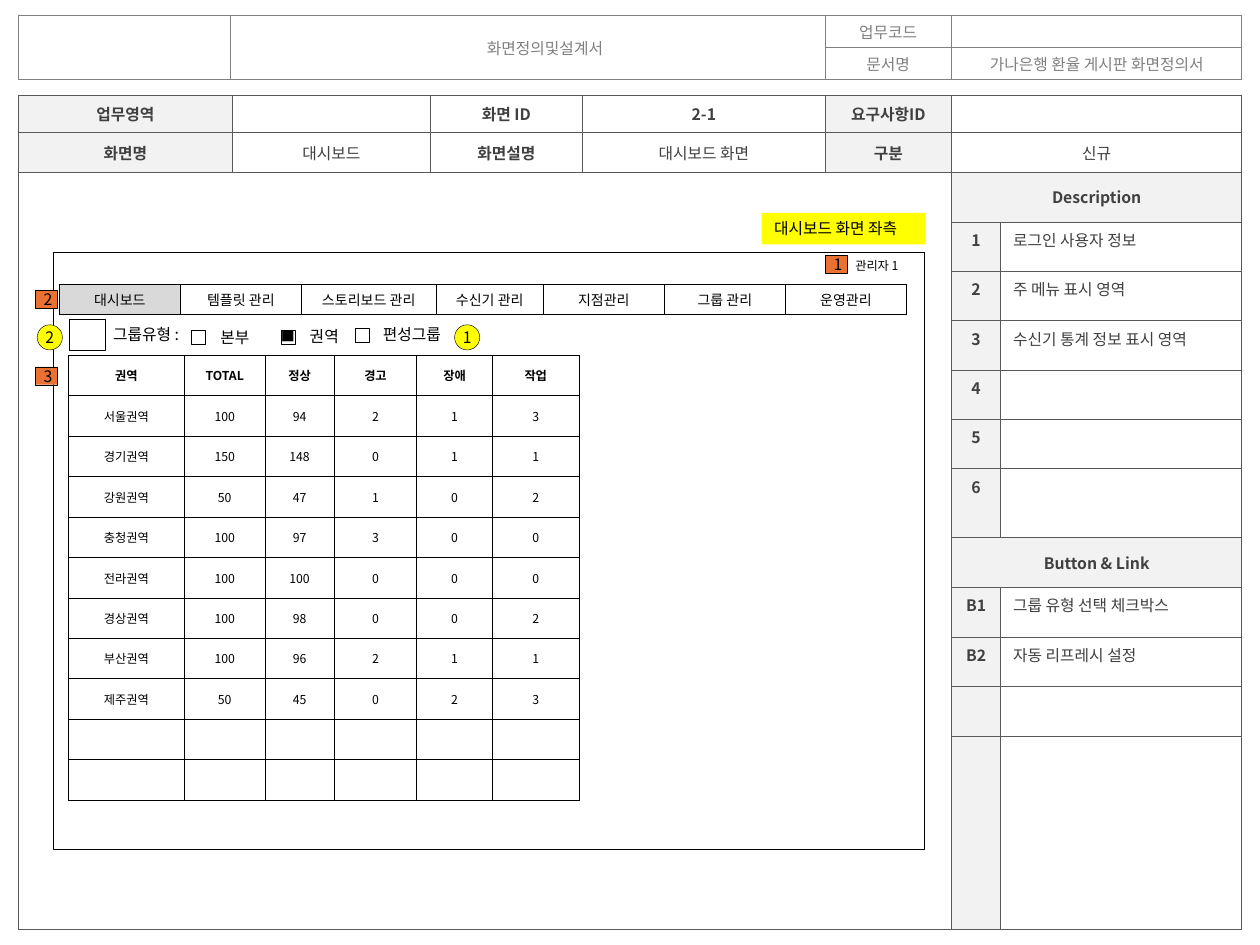
from lxml import etree
from pptx import Presentation
from pptx.dml.color import RGBColor
from pptx.enum import shapes, text
from pptx.oxml import ns
from pptx.util import Pt

FONT = "Noto Sans CJK KR"
HUES = {
    "black": "000000", "white": "FFFFFF", "mid": "808080", "dark": "404040",
    "edge": "595959", "pale": "F2F2F2", "grey": "D9D9D9",
    "yellow": "FFFF00", "orange": "E97132",
}
LEFT, MID = text.PP_ALIGN.LEFT, text.PP_ALIGN.CENTER
TOP, HALF = text.MSO_ANCHOR.TOP, text.MSO_ANCHOR.MIDDLE


def write(host, words, size=9, bold=False, hue="black", side=MID, anchor=HALF,
          pad=(7.2, 3.6), left=None):
    host.margin_left = Pt(pad[0] if left is None else left)
    host.margin_right = Pt(pad[0])
    host.margin_top = host.margin_bottom = Pt(pad[1])
    host.vertical_anchor = anchor
    para = getattr(host, "text_frame", host).paragraphs[0]
    para.alignment = side
    if not words:
        end = etree.SubElement(para._p, ns.qn("a:endParaRPr"))
        end.set("sz", str(size * 100))
        return
    run = para.add_run()
    run.text = words
    font = run.font
    font.size, font.bold, font.name = Pt(size), bold, FONT
    font.color.rgb = RGBColor.from_string(HUES[hue])
    east = etree.SubElement(run._r.get_or_add_rPr(), ns.qn("a:ea"))
    east.set("typeface", FONT)


def grid(left, top, cols, rows, data, style, edge, width, spans=()):
    frame = slide.shapes.add_table(len(rows), len(cols), Pt(left), Pt(top),
                                   Pt(sum(cols)), Pt(sum(rows)))
    table = frame.table
    for col, size in zip(table.columns, cols):
        col.width = Pt(size)
    for row, size in zip(table.rows, rows):
        row.height = Pt(size)
    for r, line in enumerate(data):
        for c, words in enumerate(line):
            cell = table.cell(r, c)
            look = style(r, c)
            cell.fill.solid()
            cell.fill.fore_color.rgb = RGBColor.from_string(HUES[look.pop("fill", "white")])
            write(cell, words, **look)
            for i, tag in enumerate(("a:lnL", "a:lnR", "a:lnT", "a:lnB")):
                ln = etree.Element(ns.qn(tag), w=str(Pt(width)))
                solid = etree.SubElement(ln, ns.qn("a:solidFill"))
                etree.SubElement(solid, ns.qn("a:srgbClr"), val=HUES[edge])
                cell._tc.get_or_add_tcPr().insert(i, ln)
    for r, c, down, over in spans:
        table.cell(r, c).merge(table.cell(r + down - 1, c + over - 1))


deck = Presentation()
deck.slide_width, deck.slide_height = Pt(720), Pt(540)
slide = deck.slides.add_slide(deck.slide_layouts[6])

grid(10.5, 8.7, [120.8, 340, 72.5, 165.7], [18.3, 18.3],
     [["", "화면정의및설계서", "업무코드", ""],
      ["", "", "문서명", "가나은행 환율 게시판 화면정의서"]],
     lambda r, c: dict(hue="mid", pad=(5.8, 0), left=26 if c == 1 else None),
     "mid", 0.25, [(0, 0, 2, 1), (0, 1, 2, 1)])

notes = [
    ("Description", ""), ("1", "로그인 사용자 정보"), ("2", "주 메뉴 표시 영역"),
    ("3", "수신기 통계 정보 표시 영역"), ("4", ""), ("5", ""), ("6", ""),
    ("Button & Link", ""), ("B1", "그룹 유형 선택 체크박스"),
    ("B2", "자동 리프레시 설정"), ("", ""), ("", ""),
]


def main_look(r, c):
    if r < 2:
        return dict(hue="dark", bold=r == 0 or c % 2 == 0, pad=(7.2, 0),
                    fill="pale" if c in (0, 4) else "white")
    return dict(hue="dark", bold=c == 5, side=LEFT if c == 6 else MID,
                anchor=HALF if r in (2, 9) else TOP,
                pad=(2.9 if c == 5 else 7.2, 3.6),
                fill="pale" if c == 5 else "white")


grid(10.5, 54.6, [122.3, 113.1, 87, 138.7, 72.2, 28, 137.8],
     [21.1, 22.8, 28.4] + [28.2] * 5 + [39.5] + [28.4] * 4 + [110],
     [["업무영역", "", "화면 ID", "2-1", "요구사항ID", "", ""],
      ["화면명", "대시보드", "화면설명", "대시보드 화면", "구분", "신규", ""]]
     + [[""] * 5 + list(note) for note in notes],
     main_look, "edge", 0.25,
     [(0, 5, 1, 2), (1, 5, 1, 2), (2, 0, 12, 5), (2, 5, 1, 2), (9, 5, 1, 2)])

RECT, OVAL = shapes.MSO_SHAPE.RECTANGLE, shapes.MSO_SHAPE.OVAL
label = dict(side=LEFT, anchor=TOP)
badge = dict(pad=(0, 0), left=2)
disc = dict(pad=(0, 0))
parts = [
    (RECT, 30.4, 144.2, 497.8, 341.2, "white", 0.5, "", {}),
    (None, 481.7, 144, 42.5, 15.8, None, 0, "관리자 1", dict(label, size=7)),
    (None, 57.6, 182.2, 56.2, 18, None, 0, "그룹유형 :", label),
    (RECT, 109.7, 188.8, 8, 8, "white", 0.5, "", {}),
    (None, 118.8, 183.6, 32.4, 18, None, 0, "본부", label),
    (RECT, 160.8, 188.8, 8, 8, "white", 0.5, "", {}),
    (None, 153.4, 183.6, 24.5, 17.3, None, 0, "■", dict(label, size=8)),
    (None, 169.9, 183, 32.4, 18, None, 0, "권역", label),
    (RECT, 203, 187.5, 8, 8, "white", 0.5, "", {}),
    (None, 211.7, 182.2, 51.1, 18, None, 0, "편성그룹", label),
    (OVAL, 259.8, 185.6, 14.4, 14.4, "yellow", 0.25, "1", disc),
    (RECT, 20.2, 165.8, 12.4, 10.2, "orange", 0.25, "2", badge),
    (RECT, 471.7, 145.8, 12.4, 10.2, "orange", 0.25, "1", badge),
    (RECT, 20.2, 209.7, 12.4, 10.2, "orange", 0.25, "3", badge),
    (RECT, 435.2, 121.6, 93.4, 18, "yellow", 0, "대시보드 화면 좌측", label),
    (RECT, 39.5, 182.6, 20.6, 17.6, "white", 0.25, "", {}),
    (OVAL, 21.3, 185.6, 14.4, 14.4, "yellow", 0.25, "2", disc),
]
for kind, x, y, w, h, fill, line, words, look in parts:
    at = Pt(x), Pt(y), Pt(w), Pt(h)
    if kind is None:
        part = slide.shapes.add_textbox(*at)
    else:
        part = slide.shapes.add_shape(kind, *at)
        part.shadow.inherit = False
        part.fill.solid()
        part.fill.fore_color.rgb = RGBColor.from_string(HUES[fill])
        if line:
            part.line.width = Pt(line)
            part.line.color.rgb = RGBColor.from_string(HUES["black"])
        else:
            part.line.fill.background()
    if words:
        part.text_frame.word_wrap = False
        write(part.text_frame, words, **look)

grid(33.9, 162.6, [69.2, 69.2, 77, 61.2, 69.2, 69.2, 69.2], [16.9],
     [["대시보드", "템플릿 관리", "스토리보드 관리", "수신기 관리", "지점관리",
       "그룹 관리", "운영관리"]],
     lambda r, c: dict(size=8, pad=(0, 0), fill="white" if c else "grey"),
     "black", 0.5)

stats = [
    ["권역", "TOTAL", "정상", "경고", "장애", "작업"],
    ["서울권역", "100", "94", "2", "1", "3"],
    ["경기권역", "150", "148", "0", "1", "1"],
    ["강원권역", "50", "47", "1", "0", "2"],
    ["충청권역", "100", "97", "3", "0", "0"],
    ["전라권역", "100", "100", "0", "0", "0"],
    ["경상권역", "100", "98", "0", "0", "2"],
    ["부산권역", "100", "96", "2", "1", "1"],
    ["제주권역", "50", "45", "0", "2", "3"],
    [""] * 6,
    [""] * 6,
]
grid(39.1, 203.1, [66.3, 46.1, 39.5, 47.3, 43.1, 49.7], [23.13] * len(stats), stats,
     lambda r, c: dict(size=7, bold=r == 0), "black", 0.5)

deck.save("out.pptx")
